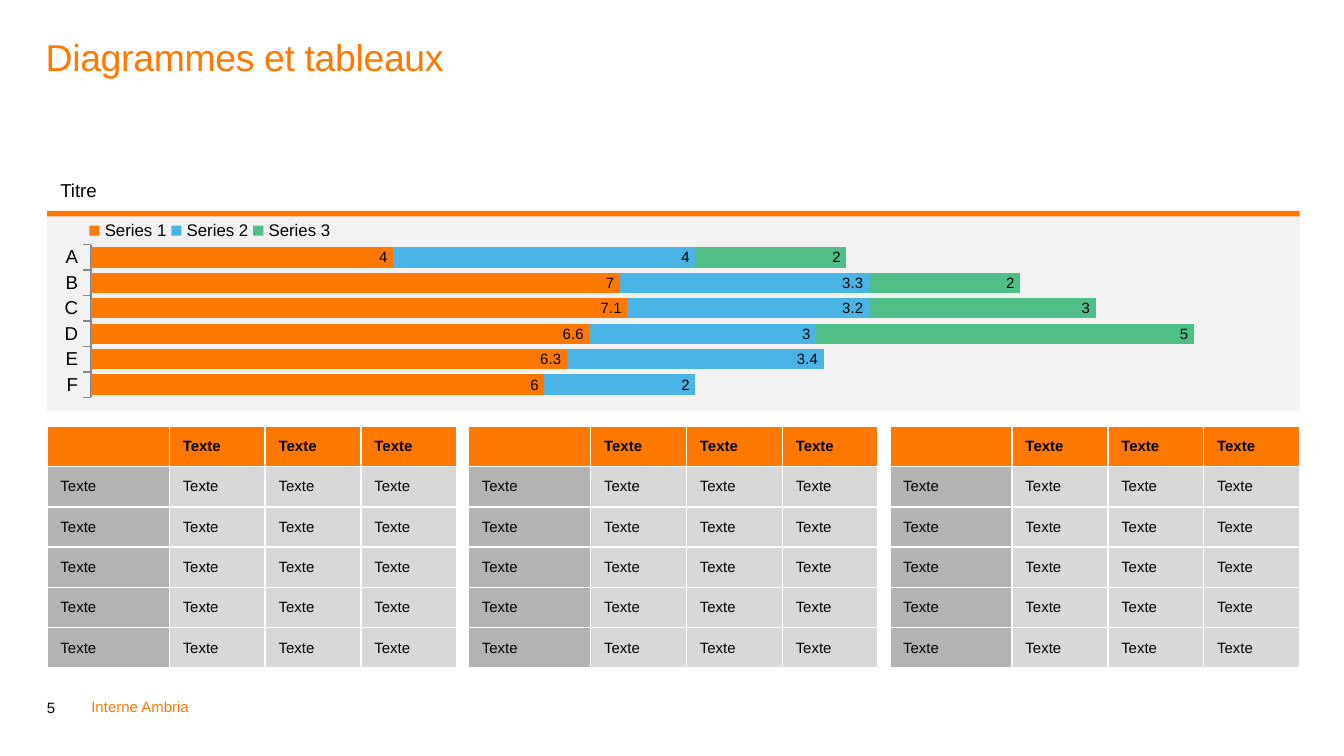
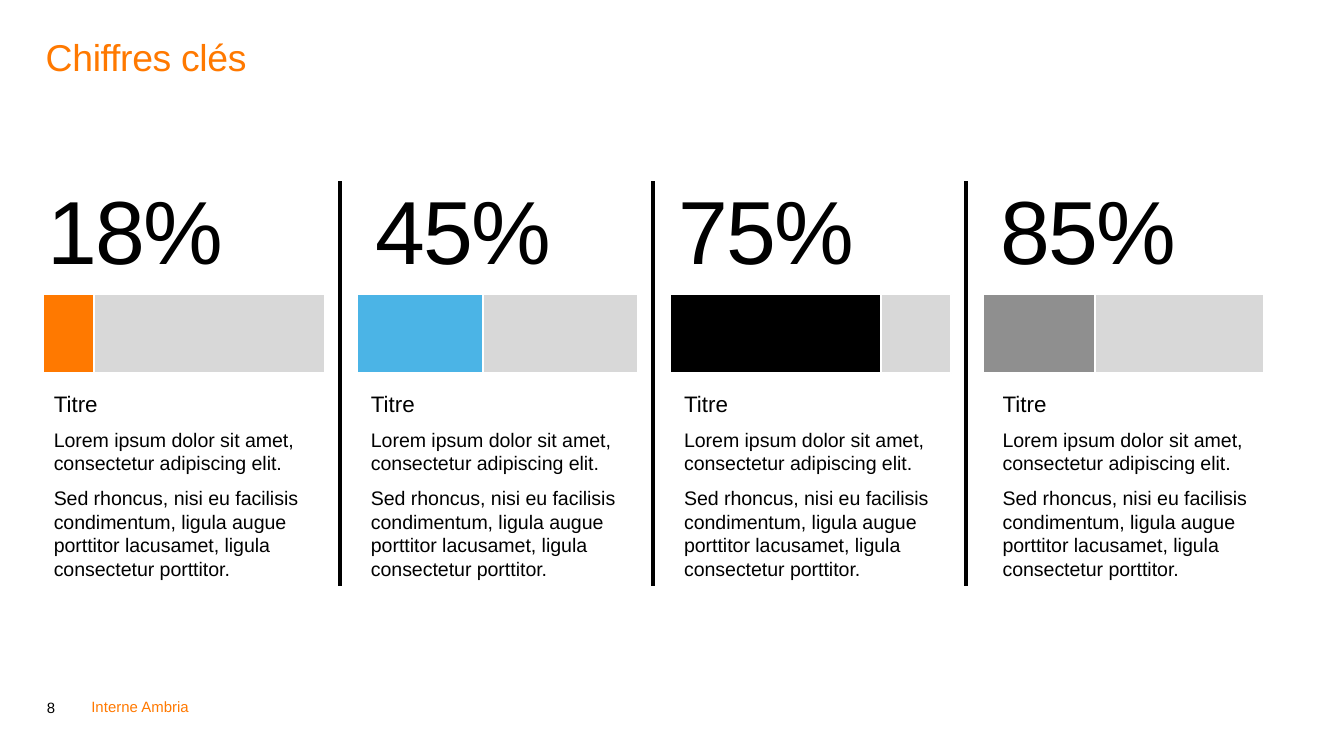
from dataclasses import dataclass
from typing import Any, Optional

from lxml.etree import SubElement
from pptx import Presentation
from pptx.chart.chart import Chart
from pptx.chart.data import CategoryChartData
from pptx.dml.color import RGBColor
from pptx.dml.fill import FillFormat
from pptx.enum.chart import XL_CHART_TYPE, XL_LABEL_POSITION, XL_TICK_MARK
from pptx.enum.shapes import MSO_CONNECTOR, MSO_SHAPE
from pptx.enum.text import MSO_ANCHOR, MSO_AUTO_SIZE, PP_ALIGN
from pptx.oxml import parse_xml
from pptx.oxml.ns import nsdecls, qn
from pptx.slide import Slide
from pptx.table import _Cell
from pptx.text.text import Font, TextFrame, _Paragraph
from pptx.util import Inches, Pt

COLORS = {
    "orange": "FF7900",
    "blue": "4BB4E6",
    "green": "50BE87",
    "black": "000000",
    "gray": "8F8F8F",
    "panel": "F2F2F2",
    "white": "FFFFFF",
    "axis": "868686",
}
FONT = "Arial"
LEFT, CONTENT_WIDTH = 0.35, 9.32
STRONG_TINT, LIGHT_TINT = 67, 34
NO_MARGINS = {"margin_left": 0, "margin_top": 0, "margin_right": 0, "margin_bottom": 0}
GROWING = {**NO_MARGINS, "auto_size": MSO_AUTO_SIZE.SHAPE_TO_FIT_TEXT}


@dataclass
class Box:
    left: float
    top: float
    width: float
    height: float

    def lengths(self) -> list[int]:
        return [Inches(value) for value in (self.left, self.top, self.width, self.height)]


@dataclass
class Series:
    name: str
    values: tuple[Optional[float], ...]
    color: str
    alpha: Optional[int] = None


@dataclass
class KeyFigure:
    number: str
    values: tuple[int, int]
    color: str
    number_left: float
    text_left: float
    number_width: float = 1.38
    alignment: PP_ALIGN = PP_ALIGN.CENTER
    wrap: bool = False
    axis_minimum: Optional[int] = 0


CHART_CATEGORIES = ("A", "B", "C", "D", "E", "F")
CHART_SERIES = (
    Series("Series 1", (4, 7, 7.1, 6.6, 6.3, 6), "orange"),
    Series("Series 2", (4, 3.3, 3.2, 3, 3.4, 2), "blue"),
    Series("Series 3", (2, 2, 3, 5, None, None), "green"),
)
KEY_FIGURES = (
    KeyFigure("18%", (22, 100), "orange", 0.32, 0.4),
    KeyFigure("45%", (82, 100), "blue", 2.76, 2.76),
    KeyFigure("75%", (100, 33), "black", 5.05, 5.09, 1.65, PP_ALIGN.LEFT, True),
    KeyFigure("85%", (100, 18), "gray", 7.41, 7.46, axis_minimum=None),
)
FIGURE_TEXT = (
    ("Titre", 12, 0),
    ("Lorem ipsum dolor sit amet, consectetur adipiscing elit.", 10.5, 6),
    ("Sed rhoncus, nisi eu facilisis condimentum, ligula augue porttitor lacusamet, "
     "ligula consectetur porttitor.", 10.5, 6),
)


# Formatting helpers
def apply_format(target: Any, values: dict[str, Any]) -> None:
    for name, value in values.items():
        setattr(target, name, value)


def rgb(color: str) -> RGBColor:
    return RGBColor.from_string(COLORS[color])


def set_fill(fill: FillFormat, color: str, alpha: Optional[int] = None) -> None:
    fill.solid()
    fill.fore_color.rgb = rgb(color)
    if alpha is not None:
        color_element = fill._xPr.find(f"{qn('a:solidFill')}/{qn('a:srgbClr')}")
        SubElement(color_element, qn("a:alpha"), val=str(alpha * 1000))


def set_font(font: Font, size: float, color: str = "black", bold: bool = False) -> None:
    apply_format(font, {"name": FONT, "size": Pt(size), "bold": bold})
    font.color.rgb = rgb(color)


def write(paragraph: _Paragraph, text: str, size: float, color: str = "black",
          bold: bool = False, spacing: float = 0) -> None:
    run = paragraph.add_run()
    run.text = text
    set_font(run.font, size, color, bold)
    if spacing:
        run._r.get_or_add_rPr().set("spc", str(round(spacing * 100)))


def add_text_frame(slide: Slide, box: Box, values: dict[str, Any]) -> TextFrame:
    text_frame = slide.shapes.add_textbox(*box.lengths()).text_frame
    apply_format(text_frame, {"word_wrap": True, **values})
    return text_frame


def add_rectangle(slide: Slide, box: Box, color: str) -> None:
    shape = slide.shapes.add_shape(MSO_SHAPE.RECTANGLE, *box.lengths())
    shape.shadow.inherit = False
    set_fill(shape.fill, color)
    shape.line.fill.background()


# Title and footer shared by the slides
def add_slide(presentation: Presentation, title: str, number: str) -> Slide:
    slide = presentation.slides.add_slide(presentation.slide_layouts[5])
    placeholder = slide.shapes.title
    left, top, width, height = Box(0.34, 0.29, 9.31, 0.81).lengths()
    apply_format(placeholder, {"left": left, "top": top, "width": width, "height": height})
    apply_format(placeholder.text_frame, {
        **NO_MARGINS, "word_wrap": True, "vertical_anchor": MSO_ANCHOR.TOP,
        "auto_size": MSO_AUTO_SIZE.NONE})
    paragraph = placeholder.text_frame.paragraphs[0]
    apply_format(paragraph, {"alignment": PP_ALIGN.LEFT, "line_spacing": 0.9})
    write(paragraph, title, 20, "orange", spacing=-0.2)

    number_frame = add_text_frame(slide, Box(0.34, 4.96, 0.3, 0.37), {
        **NO_MARGINS, "margin_left": Inches(0.01), "vertical_anchor": MSO_ANCHOR.BOTTOM})
    paragraph = number_frame.paragraphs[0]
    apply_format(paragraph, {"line_spacing": 0.85, "space_after": Pt(12)})
    write(paragraph, number, 8)

    footer = add_text_frame(slide, Box(0.68, 5.19, 0.81, 0.13), {**GROWING, "word_wrap": False})
    write(footer.paragraphs[0], "Interne Ambria", 8, "orange")
    return slide


# Charts
def set_layout(parent: Any, position: int, box: Box, inner: bool = False) -> None:
    for layout in parent.findall(qn("c:layout")):
        parent.remove(layout)
    target = '<c:layoutTarget val="inner"/>' if inner else ""
    parent.insert(position, parse_xml(
        f'<c:layout {nsdecls("c")}><c:manualLayout>{target}'
        '<c:xMode val="edge"/><c:yMode val="edge"/>'
        f'<c:x val="{box.left}"/><c:y val="{box.top}"/>'
        f'<c:w val="{box.width}"/><c:h val="{box.height}"/>'
        '</c:manualLayout></c:layout>'))


def add_stacked_bars(slide: Slide, box: Box, categories: tuple[str, ...],
                     series_list: tuple[Series, ...], gap: int, size: float) -> Chart:
    data = CategoryChartData()
    data.categories = categories
    for series in series_list:
        data.add_series(series.name, series.values)
    chart = slide.shapes.add_chart(
        XL_CHART_TYPE.BAR_STACKED, *box.lengths(), data).chart
    apply_format(chart, {"has_title": False, "has_legend": False})
    set_font(chart.font, size)
    apply_format(chart.plots[0], {"gap_width": gap, "overlap": 100, "vary_by_categories": False})
    apply_format(chart.value_axis, {"visible": False, "has_major_gridlines": False})
    for drawn, series in zip(chart.plots[0].series, series_list):
        set_fill(drawn.format.fill, series.color, series.alpha)
    return chart


def add_series_chart(slide: Slide) -> None:
    chart = add_stacked_bars(slide, Box(LEFT, 1.48, CONTENT_WIDTH, 1.53),
                             CHART_CATEGORIES, CHART_SERIES, 25, 10)
    axis = chart.category_axis
    apply_format(axis, {"reverse_order": True, "major_tick_mark": XL_TICK_MARK.OUTSIDE})
    axis.format.line.color.rgb = rgb("axis")
    for series in chart.plots[0].series:
        labels = series.data_labels
        apply_format(labels, {"show_value": True, "position": XL_LABEL_POSITION.INSIDE_END})
        set_font(labels.font, 8)
    chart.has_legend = True
    chart.legend.include_in_layout = False
    set_font(chart.legend.font, 9)
    set_layout(chart.legend._element, 1, Box(0.03, 0.1, 0.2, 0.11))
    plot_area = chart._chartSpace.find(f".//{qn('c:plotArea')}")
    set_layout(plot_area, 0, Box(0.035, 0.223, 0.965, 0.743), inner=True)


# Tables
def format_cell(cell: _Cell, row: int, column: int) -> None:
    properties = cell._tc.get_or_add_tcPr()
    for side in ("lnL", "lnR", "lnT", "lnB"):
        line = SubElement(properties, qn(f"a:{side}"), w=str(Pt(1)))
        line_fill = SubElement(line, qn("a:solidFill"))
        SubElement(line_fill, qn("a:srgbClr"), val=COLORS["white"])
    apply_format(cell, {"vertical_anchor": MSO_ANCHOR.MIDDLE,
                        "margin_top": 0, "margin_bottom": 0})
    if row == 0:
        set_fill(cell.fill, "orange")
    else:
        set_fill(cell.fill, "gray", LIGHT_TINT if column else STRONG_TINT)
    if row or column:
        write(cell.text_frame.paragraphs[0], "Texte", 8, bold=row == 0)


def add_text_table(slide: Slide, left: float) -> None:
    rows, columns, width, first_width = 6, 4, 3.05, 0.91
    table = slide.shapes.add_table(
        rows, columns, *Box(left, 3.17, width, 1.8).lengths()).table
    apply_format(table, {"first_row": False, "horz_banding": False})
    for index, column in enumerate(table.columns):
        column.width = Inches((width - first_width) / (columns - 1) if index else first_width)
    for row in range(rows):
        for column in range(columns):
            format_cell(table.cell(row, column), row, column)


# Key figures
def add_key_figure(slide: Slide, figure: KeyFigure, chart_left: float) -> None:
    first, second = figure.values
    series_list = (Series("Series 1", (first,), figure.color),
                   Series("Series 2", (second,), "gray", LIGHT_TINT))
    chart = add_stacked_bars(slide, Box(chart_left, 2.18, 2.18, 0.61), ("1",), series_list, 0, 18)
    chart.category_axis.visible = False
    apply_format(chart.value_axis, {"minimum_scale": figure.axis_minimum,
                                    "maximum_scale": first + second})
    for series in chart.plots[0].series:
        series.format.line.color.rgb = rgb("white")
        series.format.line.width = Pt(1)

    number_frame = add_text_frame(slide, Box(figure.number_left, 1.3, figure.number_width, 0.81),
                                  {**GROWING, "word_wrap": figure.wrap})
    paragraph = number_frame.paragraphs[0]
    paragraph.alignment = figure.alignment
    write(paragraph, figure.number, 48, spacing=-1)

    text_frame = add_text_frame(slide, Box(figure.text_left, 2.9, 1.85, 1.43), GROWING)
    for index, (text, size, space_before) in enumerate(FIGURE_TEXT):
        paragraph = text_frame.add_paragraph() if index else text_frame.paragraphs[0]
        if space_before:
            paragraph.space_before = Pt(space_before)
        write(paragraph, text, size)


def add_divider(slide: Slide, left: float) -> None:
    connector = slide.shapes.add_connector(
        MSO_CONNECTOR.STRAIGHT, Inches(left), Inches(1.35), Inches(left), Inches(4.36))
    connector.line.color.rgb = rgb("black")
    connector.line.width = Pt(2)
    SubElement(connector._element.spPr, qn("a:effectLst"))


# Slides
def build_chart_slide(presentation: Presentation) -> None:
    slide = add_slide(presentation, "Diagrammes et tableaux", "5")
    add_rectangle(slide, Box(LEFT, 1.6, CONTENT_WIDTH, 1.46), "panel")
    add_series_chart(slide)
    heading = add_text_frame(slide, Box(LEFT, 1.28, CONTENT_WIDTH, 0.32), {})
    write(heading.paragraphs[0], "Titre", 10)
    add_rectangle(slide, Box(LEFT, 1.57, CONTENT_WIDTH, 0.04), "orange")
    table_pitch = (CONTENT_WIDTH - 3.05) / 2
    for index in reversed(range(3)):
        add_text_table(slide, LEFT + index * table_pitch)


def build_figures_slide(presentation: Presentation) -> None:
    slide = add_slide(presentation, "Chiffres clés", "8")
    pitch = 2.33
    for index, figure in enumerate(KEY_FIGURES):
        add_key_figure(slide, figure, 0.28 + index * pitch)
        if index:
            add_divider(slide, 0.2 + index * pitch)


def main() -> None:
    presentation = Presentation()
    # Widescreen, 16 by 9
    apply_format(presentation, {"slide_width": Inches(10), "slide_height": Inches(10 * 9 / 16)})
    build_chart_slide(presentation)
    build_figures_slide(presentation)
    presentation.save("out.pptx")


if __name__ == "__main__":
    main()
